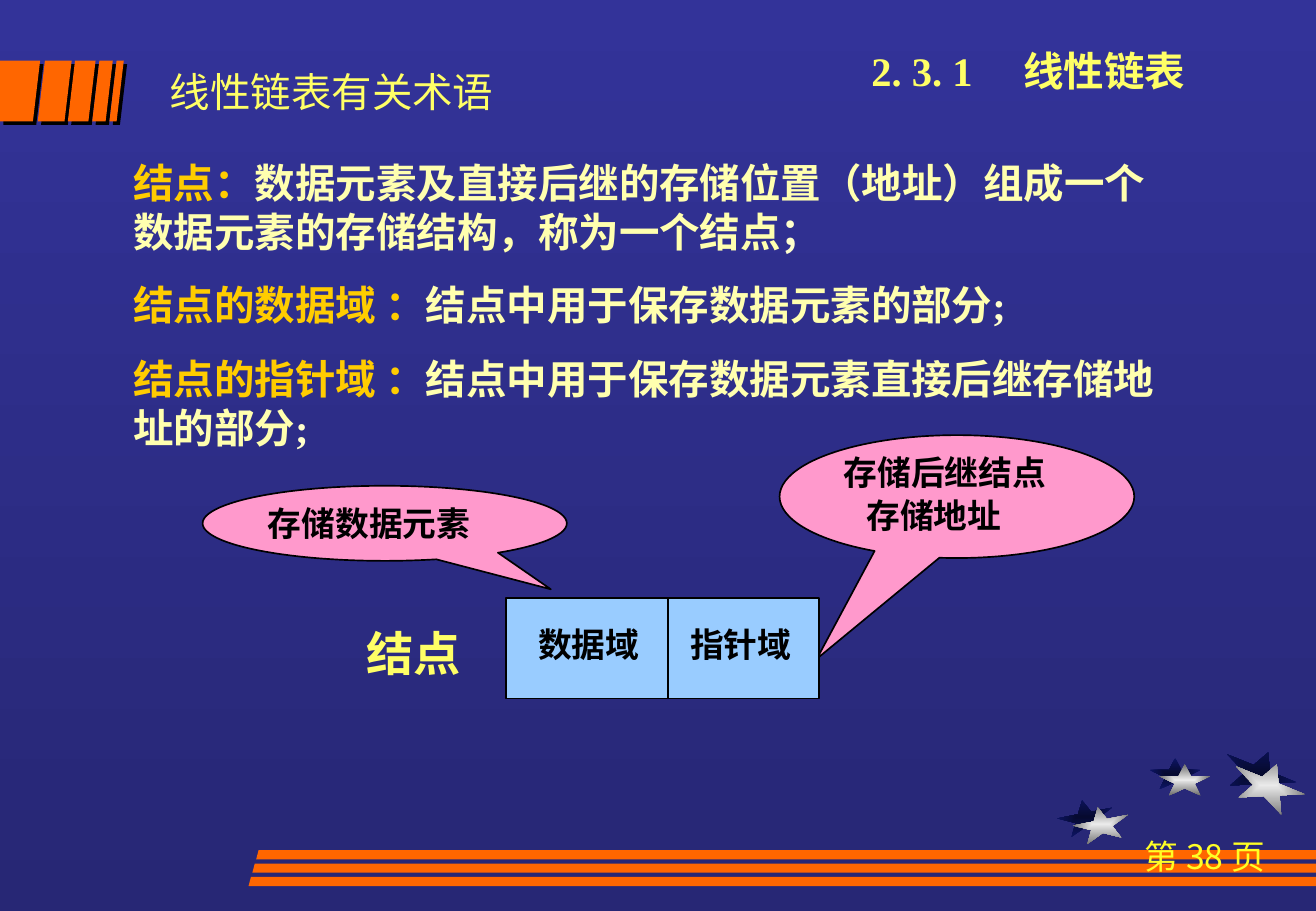
from lxml import etree
from pptx import Presentation
from pptx.dml.color import RGBColor
from pptx.enum.shapes import MSO_CONNECTOR, MSO_SHAPE
from pptx.enum.text import MSO_ANCHOR, PP_ALIGN
from pptx.oxml.ns import qn
from pptx.util import Cm, Pt

STAR = MSO_SHAPE.STAR_5_POINT
RECT = MSO_SHAPE.RECTANGLE
CALLOUT = MSO_SHAPE.OVAL_CALLOUT
STRAIGHT = MSO_CONNECTOR.STRAIGHT
TOP = MSO_ANCHOR.TOP
LEFT, CENTER = PP_ALIGN.LEFT, PP_ALIGN.CENTER
SANS, SERIF = "Noto Sans CJK SC", "Times New Roman"
W, H = 27.53, 19.05
ORANGE, YELLOW, CREAM, GOLD, PALE = "FF6600", "FFFF66", "FFFFAF", "FFCC00", "FFFFCC"
BLACK, PINK, BLUE = "000000", "FF99CC", "99CCFF"


def rgb(value):
    return RGBColor.from_string(value)


def sub(parent, tag, **attrs):
    return etree.SubElement(parent, qn(tag), attrs)


def gradient(fill, start, end):
    fill.gradient()
    for stop, color in zip(fill.gradient_stops, (start, end)):
        stop.color.rgb = rgb(color)


def put_text(s, paragraphs, size=20, color=BLACK, font=SANS, bold=False,
             align=LEFT, before=0, spacing=(), indents=(), tab=None):
    tf = s.text_frame
    tf.word_wrap = True
    tf.vertical_anchor = TOP
    for i, runs in enumerate(paragraphs):
        p = tf.paragraphs[0] if i == 0 else tf.add_paragraph()
        p.alignment = align
        if i:
            p.space_before = Pt(before)
        if spacing:
            p.line_spacing = spacing[i]
        pPr = p._p.get_or_add_pPr()
        if indents:
            pPr.set("marL", str(Cm(indents[i])))
        if tab:
            sub(sub(pPr, "a:tabLst"), "a:tab", pos=str(Cm(tab)), algn="l")
        for words, tint in [(runs, color)] if isinstance(runs, str) else runs:
            r = p.add_run()
            r.text = words
            r.font.size, r.font.bold, r.font.name = Pt(size), bold, font
            r.font.color.rgb = rgb(tint)
            sub(r._r.get_or_add_rPr(), "a:ea", typeface=SANS)


def add_text(slide, box, paragraphs, **fmt):
    s = slide.shapes.add_textbox(*map(Cm, box))
    put_text(s, paragraphs, **fmt)


def add_outlined(slide, kind, box, color):
    s = slide.shapes.add_shape(kind, *map(Cm, box))
    s.shadow.inherit = False
    s.fill.solid()
    s.fill.fore_color.rgb = rgb(color)
    s.line.color.rgb = rgb(BLACK)
    s.line.width = Pt(1)
    return s


def add_bar(slide, points):
    (x, y), *rest = [(Cm(a), Cm(b)) for a, b in points]
    builder = slide.shapes.build_freeform(x, y)
    builder.add_line_segments(rest, close=True)
    s = builder.convert_to_shape()
    s.shadow.inherit = False
    s.fill.solid()
    s.fill.fore_color.rgb = rgb(ORANGE)
    s.line.fill.background()
    return s


def add_star(slide, box, angle, start, end):
    s = slide.shapes.add_shape(STAR, *map(Cm, box))
    s.shadow.inherit = False
    s.line.fill.background()
    s.rotation = angle
    gradient(s.fill, start, end)
    fill = s._element.spPr.find(qn("a:gradFill"))
    lin = fill.find(qn("a:lin"))
    center = etree.Element(qn("a:path"), path="rect")
    sub(center, "a:fillToRect", l="50000", t="50000", r="50000", b="50000")
    fill.replace(lin, center)


def add_stars(slide, left, top):
    stars = [(0, 1.03, 1.17, 0.71, 349, 0.33, 0.15),
             (1.93, 0.15, 1.07, 0.66, 0, 0.2, 0.13),
             (3.46, 0, 1.55, 0.94, 22, 0.18, 0.25)]
    for shift, start, end in ((0, "060A2F", "0D1565"), (1, "EAEAEA", "6C6C6C")):
        for x, y, w, h, angle, dx, dy in stars:
            box = (left + x + shift * dx, top + y + shift * dy, w, h)
            add_star(slide, box, angle, start, end)


def add_header_bars(slide, left, top, height):
    slant = 0.15
    for x1, x2 in ((0, 0.69), (0.79, 1.35), (1.42, 1.85), (1.93, 2.21), (2.29, 2.44)):
        x1, x2 = left + x1, left + x2
        corner = x1 + slant if x1 > left else x1
        s = add_bar(slide, [(corner, top), (x2 + slant, top),
                            (x2, top + height), (x1, top + height)])
        effects = s._element.spPr.find(qn("a:effectLst"))
        shadow = sub(effects, "a:outerShdw", dist=str(Pt(2.8)), dir="2700000",
                     algn="ctr", rotWithShape="0")
        sub(shadow, "a:srgbClr", val=BLACK)


def add_footer(slide, left, top, right):
    for i in range(3):
        x, y = left - 0.08 * i, top + 0.28 * i
        add_bar(slide, [(x + 0.05, y), (right, y), (right, y + 0.19), (x, y + 0.19)])
    add_text(slide, (right - 4.65, top - 0.43, 4.65, 1.2), ["第 38 页"],
             color="FFFF25", align=CENTER)


def add_headings(slide, left, top):
    add_text(slide, (left, top + 0.43, 12.8, 1.27), ["线性链表有关术语"],
             size=24, color=YELLOW, font=SERIF)
    add_text(slide, (left + 14.68, top, 9.53, 1.27), ["2. 3. 1\t线性链表"],
             size=24, color=YELLOW, font=SERIF, bold=True, tab=3.18)


def add_terms(slide, box):
    terms = [("结点：", "数据元素及直接后继的存储位置（地址）组成一个数据元素的存储结构，称为一个结点", "；"),
             ("结点的数据域 ：", "结点中用于保存数据元素的部分", ";"),
             ("结点的指针域 ：", "结点中用于保存数据元素直接后继存储地址的部分", ";")]
    add_text(slide, box, [list(zip(term, (GOLD, CREAM, PALE))) for term in terms],
             size=24, font=SERIF, bold=True, before=15)


def add_callout(slide, box, tip, lines, **fmt):
    s = add_outlined(slide, CALLOUT, box, PINK)
    s.adjustments[0], s.adjustments[1] = tip
    put_text(s, lines, bold=True, **fmt)


def add_node(slide, left, top, width, height):
    add_callout(slide, (left - 6.35, top - 2.34, 7.62, 1.57), (0.456, 0.878),
                ["存储数据元素"])
    add_callout(slide, (left + 5.72, top - 3.4, 7.42, 2.57), (-0.395, 1.32),
                ["存储后继结点", "存储地址"],
                before=12.5, spacing=(0.8, 0.5), indents=(0, 0.48))
    add_outlined(slide, RECT, (left, top, width, height), BLUE)
    x = left + 3.38
    line = slide.shapes.add_connector(STRAIGHT, Cm(x), Cm(top), Cm(x), Cm(top + height))
    line.line.color.rgb = rgb(BLACK)
    line.line.width = Pt(1)
    sub(line._element.spPr, "a:effectLst")
    y = top + 0.42
    add_text(slide, (left - 3.18, y, 2.97, 1.45), ["结点"],
             size=28, color=YELLOW, bold=True)
    for offset, label in ((0.42, "数据域"), (3.6, "指针域")):
        add_text(slide, (left + offset, y, 2.75, 1.12), [label], bold=True)


def main():
    prs = Presentation()
    prs.slide_width, prs.slide_height = Cm(W), Cm(H)
    slide = prs.slides.add_slide(prs.slide_layouts[6])
    fill = slide.background.fill
    gradient(fill, "333399", "272775")
    fill.gradient_angle = 270
    add_stars(slide, 22.12, 15.7)
    add_header_bars(slide, 0, 1.27, 1.27)
    add_footer(slide, 5.36, 17.78, W)
    add_headings(slide, 3.3, 0.84)
    add_terms(slide, (2.54, 3.18, 22.43, 6.4))
    add_node(slide, 10.59, 12.5, 6.55, 2.11)
    prs.save("out.pptx")


if __name__ == "__main__":
    main()
